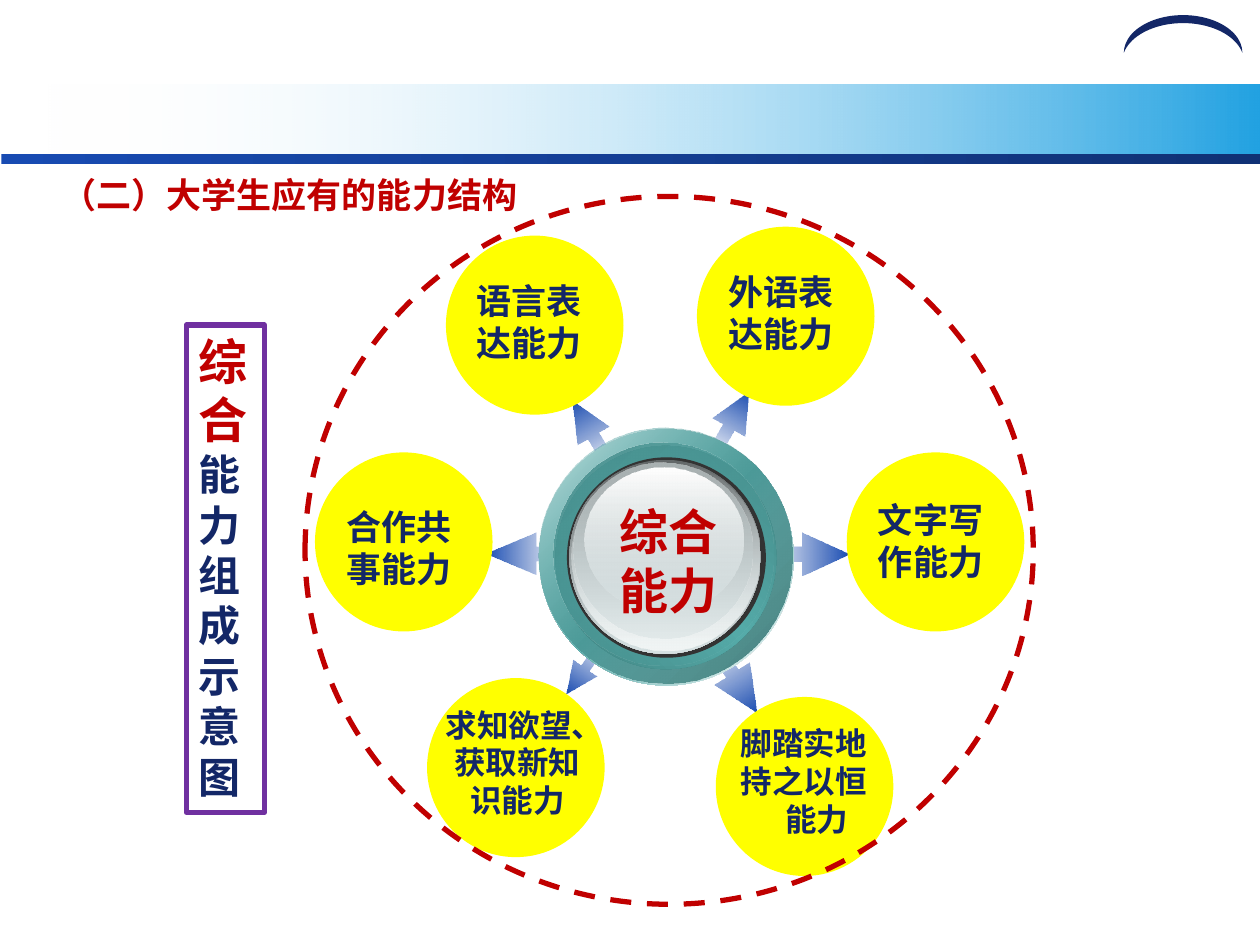
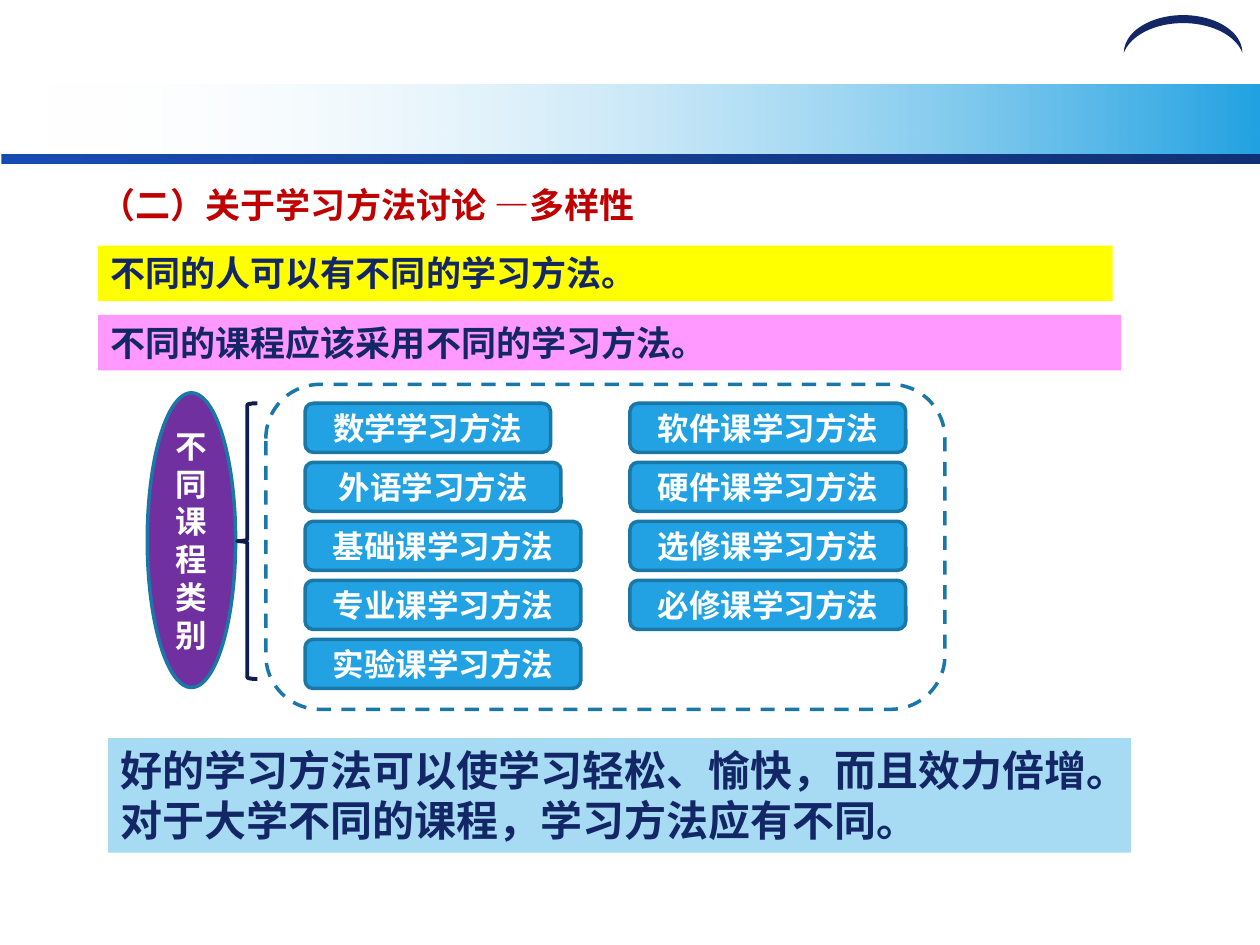
from pptx import Presentation
from pptx.dml.color import RGBColor
from pptx.enum import dml, shapes, text
from pptx.oxml import parse_xml
from pptx.oxml.ns import nsdecls, qn
from pptx.util import Cm, Pt

FORM = shapes.MSO_SHAPE
LEFT, CENTER = text.PP_ALIGN.LEFT, text.PP_ALIGN.CENTER
NAVY, RED, PURPLE, YELLOW = "132767", "C00000", "7030A0", "FFFF00"
SKY, TEAL_LINE, WHITE = "22A2E2", "1978A7", "FFFFFF"


def color(value):
    return RGBColor.from_string(value)


def gradient(angle, *stops):
    marks = ""
    for number, stop in enumerate(stops):
        tone, _, opacity = stop.partition("/")
        alpha = f'<a:alpha val="{int(opacity) * 1000}"/>' if opacity else ""
        place = number * 100000 // (len(stops) - 1)
        marks += f'<a:gs pos="{place}"><a:srgbClr val="{tone}">{alpha}</a:srgbClr></a:gs>'
    return (f'<a:gradFill {nsdecls("a")} rotWithShape="1"><a:gsLst>{marks}</a:gsLst>'
            f'<a:lin ang="{angle * 60000}" scaled="0"/></a:gradFill>')


class Builder:
    font = "Arial"

    def __init__(self):
        self.deck = Presentation()
        self.deck.slide_width, self.deck.slide_height = Cm(25.4), Cm(19.05)
        self.page = None

    def new_page(self):
        self.page = self.deck.slides.add_slide(self.deck.slide_layouts[6])
        self.shape(FORM.RECTANGLE, (0.84, 1.7, 24.56, 1.47), gradient(0, WHITE + "/0", SKY))
        self.shape(FORM.RECTANGLE, (0.03, 3.1, 25.37, 0.2), gradient(0, "184BB2", "103175"))
        self.shape(FORM.MOON, (23.47, -0.51, 0.76, 2.39), NAVY, turn=90, adjust=[0.212])

    def shape(self, form, place, fill=None, line=None, width=2, dashed=False, turn=0, adjust=()):
        shape = self.page.shapes.add_shape(form, *map(Cm, place))
        shape.shadow.inherit = False
        shape.rotation = turn
        for index, value in enumerate(adjust):
            shape.adjustments[index] = value
        if fill is None:
            shape.fill.background()
        elif fill.startswith("<"):
            shape.element.spPr.find(qn("a:prstGeom")).addnext(parse_xml(fill))
        else:
            shape.fill.solid()
            shape.fill.fore_color.rgb = color(fill)
        if line:
            shape.line.color.rgb = color(line)
            shape.line.width = Pt(width)
            if dashed:
                shape.line.dash_style = dml.MSO_LINE.DASH
        else:
            shape.line.fill.background()
        return shape

    def set_text(self, shape, paragraphs, grow=True, wrap=True):
        frame = shape.text_frame
        frame.word_wrap = wrap
        frame.vertical_anchor = text.MSO_ANCHOR.TOP if grow else text.MSO_ANCHOR.MIDDLE
        if grow:
            frame.auto_size = text.MSO_AUTO_SIZE.SHAPE_TO_FIT_TEXT
        for index, (align, spans) in enumerate(paragraphs):
            para = frame.add_paragraph() if index else frame.paragraphs[0]
            para.alignment = align
            for words, size, tone in spans:
                span = para.add_run()
                span.text = words
                span.font.name = self.font
                span.font.size = Pt(size)
                span.font.bold = True
                span.font.color.rgb = color(tone)

    def text_box(self, place, paragraphs, wrap=True):
        box = self.page.shapes.add_textbox(*map(Cm, place))
        self.set_text(box, paragraphs, wrap=wrap)

    def heading(self, left, top, width, words):
        self.text_box((left, top, width, 1.12), [(LEFT, [(words, 20, RED)])])

    def banner(self, place, fill, words, size):
        shape = self.shape(FORM.RECTANGLE, place, fill)
        self.set_text(shape, [(LEFT, [(words, size, NAVY)])])

    def badge(self, form, place, fill, words):
        shape = self.shape(form, place, fill, TEAL_LINE)
        self.set_text(shape, [(CENTER, [(words, 18, WHITE)])], grow=False)


ARROWS = [
    ((14.05, 8.13, 1.4, 0.74), 299.6, 1.11),
    ((14.05, 13.28, 1.57, 0.84), 57.8, 1.11),
    ((11.18, 8.33, 1.45, 0.74), 239.5, 1.11),
    ((11.15, 13.18, 1.27, 0.58), 125.6, 1.11),
    ((15.42, 10.74, 1.7, 0.86), 0, 1.11),
    ((9.78, 10.74, 1.57, 0.84), 180, 1.21),
]
HUB_DISCS = [
    ((10.87, 8.66, 5.13, 5.16), gradient(45, WHITE, "55ABA9", WHITE)),
    ((10.85, 8.61, 5.13, 5.16), gradient(45, "55ABA9/32", "3D7A79")),
    ((11.2, 8.99, 4.45, 4.5), gradient(315, "418381", "55ABA9", "418381")),
    ((11.15, 8.92, 4.45, 4.5), gradient(45, "468C8B", "55ABA9/0")),
    ((11.43, 9.22, 4.01, 4.04), "333333"),
    ((11.48, 9.27, 3.86, 3.91), gradient(90, "636869", "D6E1E2")),
    ((11.53, 9.3, 3.78, 3.81), gradient(90, "D6E1E2/0", "F1F5F5")),
    ((11.56, 9.32, 3.61, 3.56), gradient(90, "AAB2B3", "D6E1E2/48")),
    ((11.79, 9.42, 3.2, 2.9), gradient(90, WHITE, "D6E1E2/38")),
]
ABILITIES = [
    ((8.99, 4.75), (9.35, 5.51, 2.95, 1.96), 20, ["语言表达能力"]),
    ((14.05, 4.57), (14.43, 5.33, 2.82, 1.96), 20, ["外语表达能力"]),
    ((17.07, 9.12), (17.45, 9.93, 2.82, 1.96), 20, ["文字写作能力"]),
    ((14.43, 14.05), (14.68, 14.48, 3.58, 2.57), 18, ["脚踏实地持之以恒", "能力"]),
    ((6.35, 9.12), (6.73, 10.06, 2.82, 1.96), 20, ["合作共事能力"]),
    ((8.61, 13.67), (8.74, 14.1, 3.38, 2.57), 18, ["求知欲望、", "获取新知识能力"]),
]
COURSE_COLUMNS = [
    (6.15, [("数学", 4.95), ("外语", 5.16), ("基础课", 5.56), ("专业课", 5.56), ("实验课", 5.56)]),
    (12.7, [("软件课", 5.56), ("硬件课", 5.56), ("选修课", 5.56), ("必修课", 5.56)]),
]


def ability_page(builder):
    builder.new_page()
    for place, turn, head in ARROWS:
        builder.shape(FORM.RIGHT_ARROW, place, gradient(0, "1747A9/0", "184BB2"),
                      turn=turn, adjust=[0.352, head])
    for corner, _, _, _ in ABILITIES:
        builder.shape(FORM.OVAL, (*corner, 3.58, 3.61), YELLOW)
    for place, fill in HUB_DISCS:
        builder.shape(FORM.OVAL, place, fill)
    builder.text_box((12.22, 9.98, 2.51, 2.64),
                     [(CENTER, [(words, 28, RED)]) for words in ("综合", "能力")], wrap=False)
    for _, place, size, lines in ABILITIES:
        builder.text_box(place, [(CENTER if index else LEFT, [(words, size, NAVY)])
                                 for index, words in enumerate(lines)])
    builder.shape(FORM.OVAL, (6.15, 3.96, 14.68, 14.27), line=RED, width=3, dashed=True)
    caption = builder.shape(FORM.RECTANGLE, (3.76, 6.55, 1.57, 9.83), line=PURPLE, width=3)
    builder.set_text(caption, [(LEFT, [("综合", 28, RED), ("能力组成示意图", 24, NAVY)])])
    builder.heading(0.99, 3.38, 10.52, "（二）大学生应有的能力结构")


def method_page(builder):
    builder.new_page()
    builder.heading(1.78, 3.58, 13.11, "（二）关于学习方法讨论 —多样性")
    builder.banner((2.18, 14.88, 20.62, 2.31), "A7DAF3",
                   "好的学习方法可以使学习轻松、愉快，而且效力倍增。对于大学不同的课程，学习方法应有不同。", 24)
    builder.banner((1.98, 4.95, 20.45, 1.12), YELLOW, "不同的人可以有不同的学习方法。", 20)
    builder.banner((1.98, 6.35, 20.62, 1.12), "FF99FF", "不同的课程应该采用不同的学习方法。", 20)
    for left, courses in COURSE_COLUMNS:
        for row, (course, width) in enumerate(courses):
            builder.badge(FORM.ROUNDED_RECTANGLE, (left, 8.13 + 1.19 * row, width, 0.99),
                          SKY, course + "学习方法")
    builder.shape(FORM.ROUNDED_RECTANGLE, (5.36, 7.75, 13.69, 6.55), line=TEAL_LINE, dashed=True)
    builder.badge(FORM.OVAL, (2.97, 7.92, 1.78, 5.94), PURPLE, "不同课程类别")
    builder.shape(FORM.LEFT_BRACE, (4.78, 8.13, 0.41, 5.56), line="0E1D4D", width=2.25)


def main():
    builder = Builder()
    ability_page(builder)
    method_page(builder)
    builder.deck.save("out.pptx")


if __name__ == "__main__":
    main()
